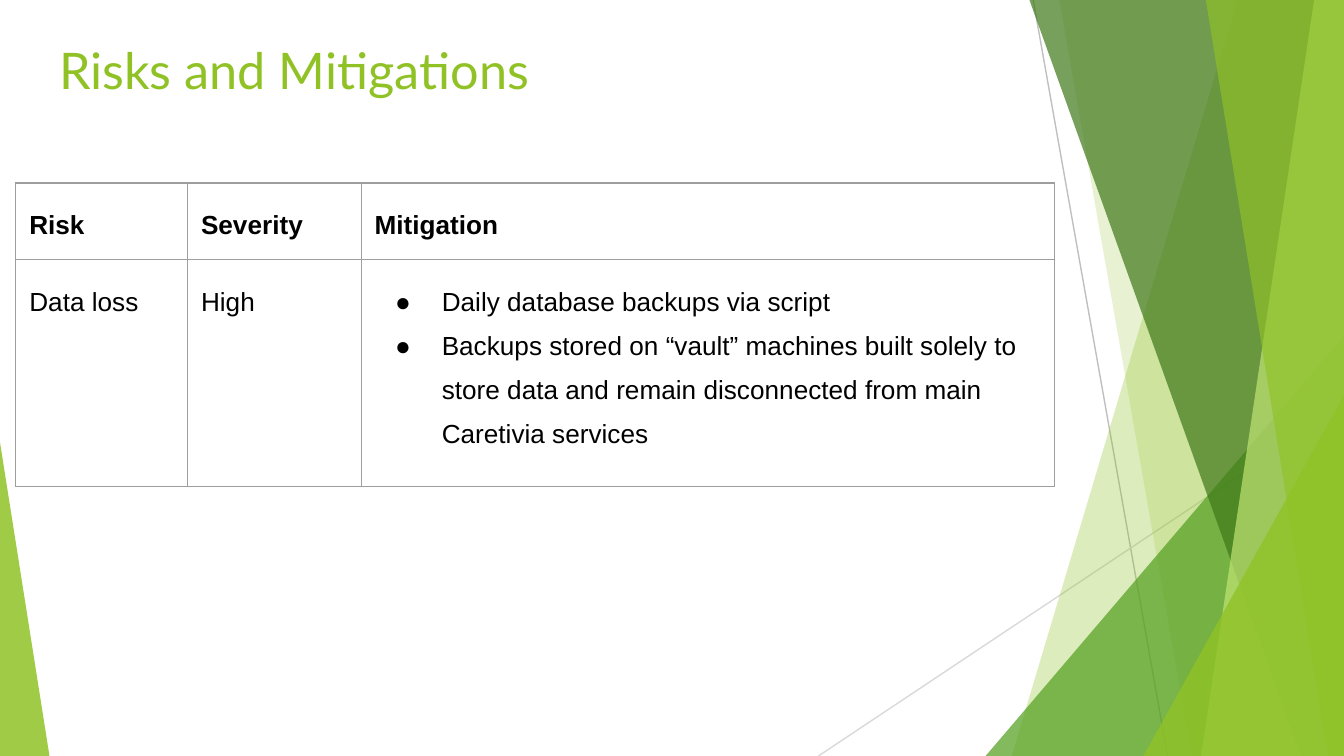
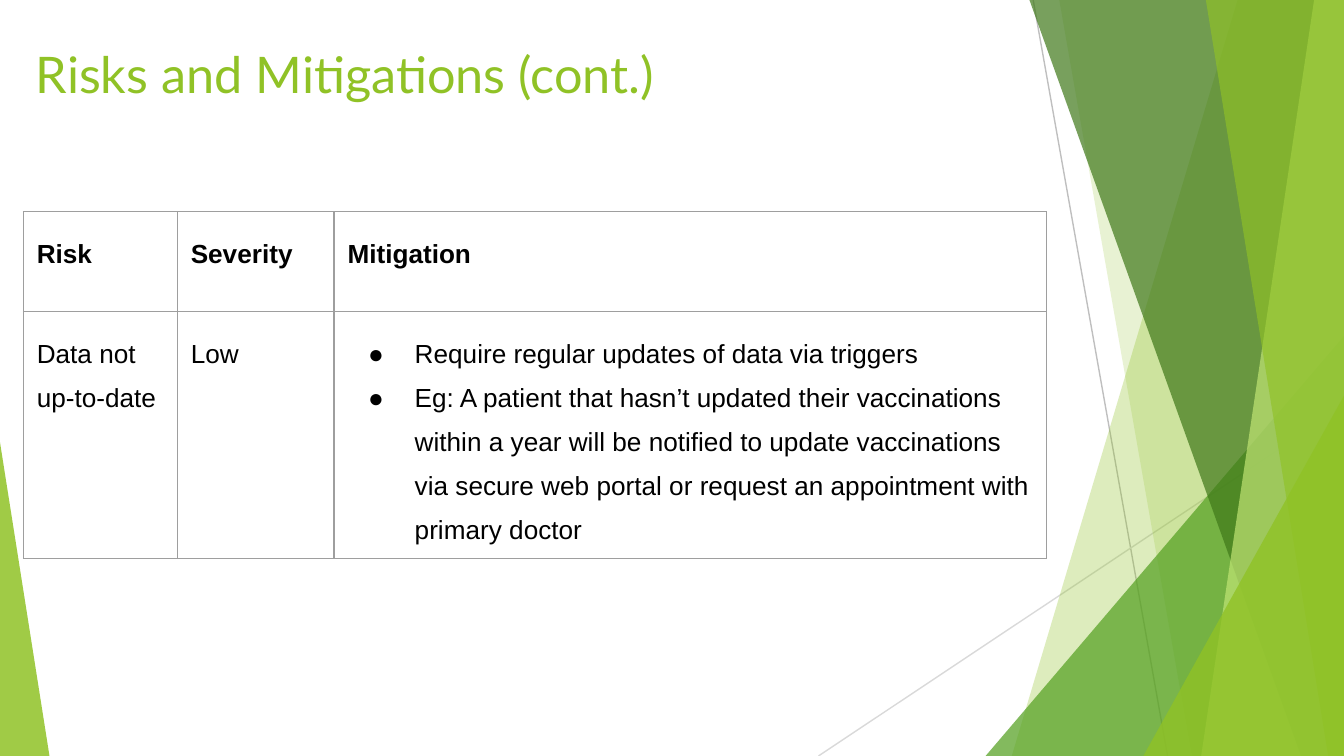
from lxml.etree import SubElement
from pptx import Presentation
from pptx.dml.color import RGBColor
from pptx.enum.shapes import MSO_CONNECTOR as Link, MSO_SHAPE as Shape
from pptx.enum.text import MSO_ANCHOR as Anchor, PP_ALIGN as Align
from pptx.oxml.ns import qn
from pptx.util import Pt

WIDTH, HEIGHT = 720, 405
COLORS = {
    "lime": "90C226", "pale": "C0E474", "green": "54A021", "forest": "3F7819",
    "silver": "BFBFBF", "mist": "D9D9D9", "grid": "9E9E9E", "ink": "000000",
}
TITLE_FONT = {"name": "Lato", "size": Pt(27), "bold": False}
CELL_FONT = {"name": "Arial", "size": Pt(14)}
INSETS = {f"margin_{side}": Pt(7.2) for side in ("left", "top", "right", "bottom")}

# Backdrop: lines, bands (top x, bottom x, reaching the right edge), corner triangles
LINES = [((553.5, 0), (625.5, HEIGHT), "silver"), ((WIDTH, 217.5), (438.5, HEIGHT), "mist")]
REAR_BANDS = [(663, 542, "lime", 30), (567.5, 638.5, "lime", 20)]
FRONT_BANDS = [(551.5, 697, "forest", 70), (704, 643.5, "pale", 70), (646, 711.5, "lime", 65)]
REAR_CORNER = (528, 180, 192, 1, "green", 72)
FRONT_CORNERS = [(612.5, 212, 107.5, 1, "lime", 80), (0, 237, 26.5, 0, "lime", 85)]

HEADER = ["Risk", "Severity", "Mitigation"]


def apply(target, values):
    for name, value in values.items():
        setattr(target, name, value)


def rgb(color):
    return RGBColor.from_string(COLORS[color])


class RiskDeck:
    def __init__(self):
        self.deck = Presentation()
        apply(self.deck, {"slide_width": Pt(WIDTH), "slide_height": Pt(HEIGHT)})
        self.page = None

    def add_page(self):
        self.page = self.deck.slides.add_slide(self.deck.slide_layouts[5])
        for start, end, color in LINES:
            self.line(start, end, color)
        for band in REAR_BANDS:
            self.band(*band)
        self.corner(*REAR_CORNER)
        for band in FRONT_BANDS:
            self.band(*band)
        for corner in FRONT_CORNERS:
            self.corner(*corner)

    def line(self, start, end, color):
        line = self.page.shapes.add_connector(
            Link.STRAIGHT, *(Pt(value) for value in start + end))
        line.line.color.rgb = rgb(color)
        line.line.width = Pt(0.75)
        SubElement(line.element.spPr, qn("a:effectLst"))

    def paint(self, shape, color, opacity):
        shape.shadow.inherit = False
        shape.fill.solid()
        shape.fill.fore_color.rgb = rgb(color)
        shape.line.fill.background()
        tint = shape.element.spPr.find(".//" + qn("a:srgbClr"))
        SubElement(tint, qn("a:alpha"), val=str(opacity * 1000))

    def band(self, top_x, bottom_x, color, opacity):
        outline = self.page.shapes.build_freeform(Pt(top_x), 0)
        corners = [(WIDTH, 0), (WIDTH, HEIGHT), (bottom_x, HEIGHT)]
        outline.add_line_segments([(Pt(x), Pt(y)) for x, y in corners], close=True)
        self.paint(outline.convert_to_shape(), color, opacity)

    def corner(self, left, top, width, apex, color, opacity):
        triangle = self.page.shapes.add_shape(
            Shape.ISOSCELES_TRIANGLE, Pt(left), Pt(top), Pt(width), Pt(HEIGHT - top))
        triangle.adjustments[0] = apex
        self.paint(triangle, color, opacity)

    def add_text(self, para, text, font, color):
        span = para.add_run()
        span.text = text
        apply(span.font, font)
        span.font.color.rgb = rgb(color)

    def title(self, text, left, top, width, height):
        box = self.page.shapes.title
        apply(box, {"left": Pt(left), "top": Pt(top), "width": Pt(width), "height": Pt(height)})
        apply(box.text_frame, {**INSETS, "word_wrap": True, "vertical_anchor": Anchor.TOP})
        para = box.text_frame.paragraphs[0]
        para.alignment = Align.LEFT
        self.add_text(para, text, TITLE_FONT, "lime")
        self.page.shapes.element.append(box.element)  # in front of the backdrop

    def bullet(self, para):
        props = para._p.get_or_add_pPr()
        props.set("marL", str(Pt(36)))
        props.set("indent", str(-Pt(25)))
        tint = SubElement(props, qn("a:buClr"))
        SubElement(tint, qn("a:srgbClr"), val=COLORS["ink"])
        SubElement(props, qn("a:buFont"), typeface="Arial")
        SubElement(props, qn("a:buChar"), char="●")

    def cell(self, cell, content, bold):
        bulleted = isinstance(content, list)
        frame = cell.text_frame
        for index, text in enumerate(content if bulleted else [content]):
            para = frame.add_paragraph() if index else frame.paragraphs[0]
            if bulleted:
                self.bullet(para)
            para.line_spacing = 1.5
            self.add_text(para, text, {**CELL_FONT, "bold": bold}, "ink")
        apply(cell, {**INSETS, "vertical_anchor": Anchor.TOP})
        props = cell._tc.get_or_add_tcPr()
        for side in "LRTB":
            border = SubElement(props, qn(f"a:ln{side}"), w=str(Pt(0.75)))
            fill = SubElement(border, qn("a:solidFill"))
            SubElement(fill, qn("a:srgbClr"), val=COLORS["grid"])
        cell.fill.background()

    def table(self, left, top, widths, heights, risk):
        rows = [HEADER, risk]
        table = self.page.shapes.add_table(
            len(rows), len(HEADER), Pt(left), Pt(top), Pt(sum(widths)), Pt(sum(heights))).table
        apply(table, {"first_row": False, "horz_banding": False})
        for column, width in zip(table.columns, widths):
            column.width = Pt(width)
        for index, (row, height, contents) in enumerate(zip(table.rows, heights, rows)):
            row.height = Pt(height)
            for cell, content in zip(row.cells, contents):
                self.cell(cell, content, bold=index == 0)


def main():
    show = RiskDeck()

    # Data loss
    show.add_page()
    show.title("Risks and Mitigations", 24.5, 13.5, 671, 50.5)
    show.table(8.5, 98, [92, 93, 371.5], [41, 121.5], ["Data loss", "High", [
        "Daily database backups via script",
        "Backups stored on “vault” machines built solely to store data and remain "
        "disconnected from main Caretivia services",
    ]])

    # Outdated data
    show.add_page()
    show.title("Risks and Mitigations (cont.)", 12, 16, 671, 54.5)
    show.table(12.5, 113.5, [82.5, 84, 381.5], [53.5, 132], ["Data not up-to-date", "Low", [
        "Require regular updates of data via triggers",
        "Eg: A patient that hasn’t updated their vaccinations within a year will be notified "
        "to update vaccinations via secure web portal or request an appointment with "
        "primary doctor",
    ]])

    show.deck.save("out.pptx")


if __name__ == "__main__":
    main()
